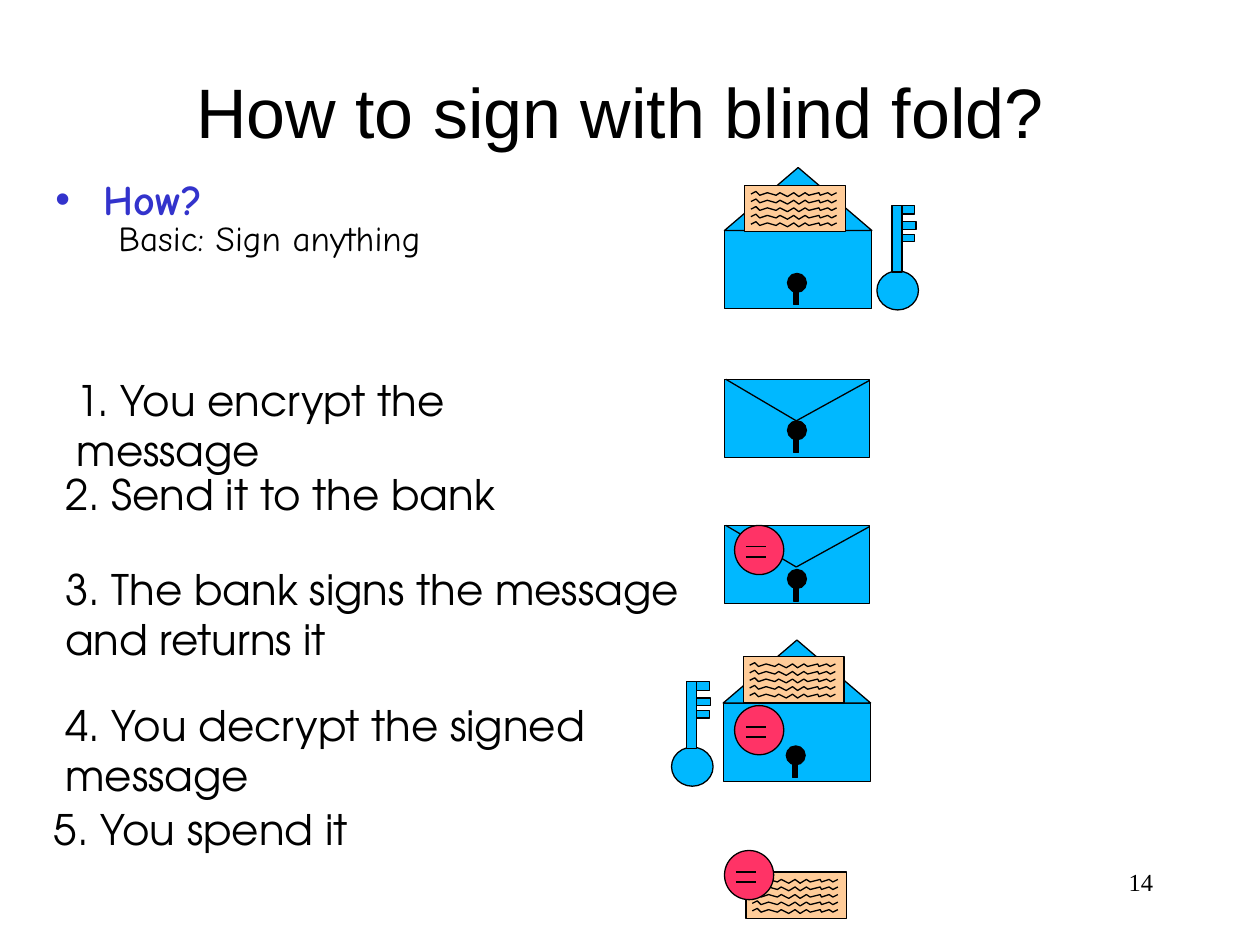
"""Build the slide on signing a message inside a sealed envelope."""
from lxml import etree
from pptx import Presentation
from pptx.dml.color import RGBColor
from pptx.enum.shapes import MSO_CONNECTOR, MSO_SHAPE as Shape
from pptx.enum.text import MSO_ANCHOR as Anchor, PP_ALIGN as Align
from pptx.oxml.ns import qn
from pptx.util import Pt

PX = 9144
BLACK, BLUE, PAPER, RED, INDIGO = "000000", "00B8FF", "FFCC99", "FF3366", "3333CC"
color = RGBColor.from_string

presentation = Presentation()
presentation.slide_width, presentation.slide_height = 1000 * PX, 750 * PX
slide = presentation.slides.add_slide(presentation.slide_layouts[5])
shapes = slide.shapes


def draw_shape(kind, left, top, width, height, fill):
    shape = shapes.add_shape(kind, left * PX, top * PX, width * PX, height * PX)
    shape.shadow.inherit = False
    shape.fill.solid()
    shape.fill.fore_color.rgb = color(fill)
    shape.line.color.rgb = color(BLACK)
    shape.line.width = Pt(0.75)


def draw_line(x1, y1, x2, y2):
    line = shapes.add_connector(MSO_CONNECTOR.STRAIGHT, x1 * PX, y1 * PX, x2 * PX, y2 * PX)
    line.line.color.rgb = color(BLACK)
    line.line.width = Pt(0.75)
    etree.SubElement(line._element.spPr, qn("a:effectLst"))


title = shapes.title
title.left, title.top, title.width, title.height = 67 * PX, 25 * PX, 850 * PX, 125 * PX
frame = title.text_frame
frame.text = "How to sign with blind fold?"
frame.word_wrap = True
frame.vertical_anchor = Anchor.MIDDLE
frame.margin_left = frame.margin_right = 2 * PX
frame.paragraphs[0].alignment = Align.CENTER
font = frame.paragraphs[0].runs[0].font
font.name, font.size, font.color.rgb = "Arial", Pt(40), color(BLACK)

body = shapes.add_textbox(42 * PX, 133 * PX, 442 * PX, 117 * PX)
frame = body.text_frame
frame.word_wrap = True
frame.margin_left = frame.margin_right = 2 * PX
frame.text = "How?\nBasic: Sign anything"
question, answer = frame.paragraphs
properties = question._p.get_or_add_pPr()
properties.set("marL", str(38 * PX))
properties.set("indent", str(-38 * PX))
bullet_color = etree.SubElement(properties, qn("a:buClr"))
etree.SubElement(bullet_color, qn("a:srgbClr")).set("val", INDIGO)
etree.SubElement(properties, qn("a:buFont")).set("typeface", "Arial")
etree.SubElement(properties, qn("a:buChar")).set("char", "•")
answer._p.get_or_add_pPr().set("marL", str(50 * PX))
answer.line_spacing = 0.82
for paragraph, size, fill, bold in ((question, 24, INDIGO, True), (answer, 20, BLACK, False)):
    font = paragraph.runs[0].font
    font.name, font.size, font.bold = "Comic Neue", Pt(size), bold
    font.color.rgb = color(fill)

STEP_FONT = "TeX Gyre Adventor"
for left, top, width, height, text, name, size, alignment in (
    (51, 292, 452, 90, "1. You encrypt the message", STEP_FONT, 24, Align.LEFT),
    (42, 367, 483, 50, "2. Send it to the bank", STEP_FONT, 24, Align.LEFT),
    (42, 442, 517, 90, "3. The bank signs the message and returns it", STEP_FONT, 24, Align.LEFT),
    (42, 550, 450, 90, "4. You decrypt the signed message", STEP_FONT, 24, Align.LEFT),
    (33, 633, 408, 50, "5. You spend it", STEP_FONT, 24, Align.LEFT),
    (717, 683, 208, 50, "14", "Times New Roman", 14, Align.RIGHT),
):
    box = shapes.add_textbox(left * PX, top * PX, width * PX, height * PX)
    frame = box.text_frame
    frame.word_wrap = True
    frame.text = text
    frame.paragraphs[0].alignment = alignment
    font = frame.paragraphs[0].runs[0].font
    font.name, font.size, font.color.rgb = name, Pt(size), color(BLACK)

for left, top in ((575, 183), (574, 558)):
    draw_shape(Shape.RECTANGLE, left, top, 117, 62, BLUE)
    draw_shape(Shape.ISOSCELES_TRIANGLE, left, top - 50, 117, 50, BLUE)

for left, top in ((575, 301), (575, 417)):
    draw_shape(Shape.RECTANGLE, left, top, 115, 62, BLUE)
    draw_line(left + 1, top, left + 57, top + 33)
    draw_line(left + 57, top + 33, left + 115, top + 1)

for left, top in ((696, 163), (533, 541)):
    draw_shape(Shape.OVAL, left, top + 52, 33, 31, BLUE)
    draw_shape(Shape.RECTANGLE, left + 12, top, 8, 53, BLUE)
    for offset, width, height in ((0, 10, 7), (13, 11, 6), (23, 10, 6)):
        draw_shape(Shape.RECTANGLE, left + 20, top + offset, width, height, BLUE)

for left, top in ((625, 217), (625, 334), (625, 452), (624, 592)):
    draw_shape(Shape.OVAL, left, top, 15, 15, BLACK)
    draw_shape(Shape.RECTANGLE, left + 5, top + 14, 4, 11, BLACK)

SCRIBBLE = ((0, 2), (4, 0), (7, 3), (13, 1), (20, 3), (23, 1), (29, 4), (34, 1),
            (38, 4), (43, 1), (46, 3), (54, 1), (55, 3), (61, 1), (64, 3), (68, 1))
for left, top in ((591, 147), (590, 521), (592, 692)):
    draw_shape(Shape.RECTANGLE, left, top, 80, 37, PAPER)
    for offset in range(5, 30, 6):
        points = [(left + 5 + x, top + offset + y) for x, y in SCRIBBLE]
        builder = shapes.build_freeform(*points[0], scale=PX)
        builder.add_line_segments(points[1:], close=False)
        scribble = builder.convert_to_shape()
        scribble.shadow.inherit = False
        scribble.fill.background()
        scribble.line.color.rgb = color(BLACK)
        scribble.line.width = Pt(0.75)

for left, top in ((583, 417), (583, 560), (575, 675)):
    draw_shape(Shape.OVAL, left, top, 39, 39, RED)
    for offset in (17, 25):
        draw_line(left + 9, top + offset, left + 25, top + offset)

presentation.save("out.pptx")
